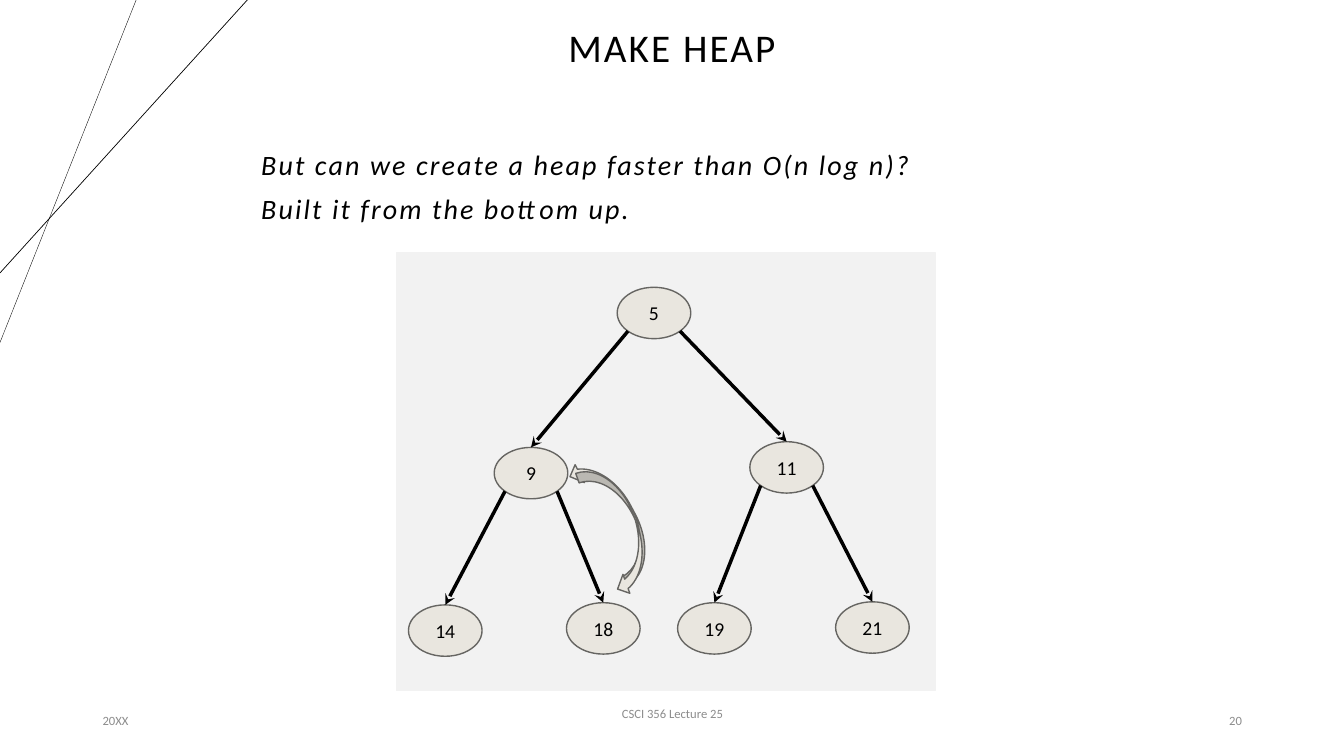
from collections import namedtuple
from math import sqrt

from pptx import Presentation
from pptx.dml.color import RGBColor
from pptx.enum.shapes import MSO_CONNECTOR, MSO_SHAPE
from pptx.enum.text import MSO_ANCHOR, PP_ALIGN
from pptx.oxml.ns import qn
from pptx.util import Inches, Pt
from lxml import etree

LEFT, CENTER, RIGHT = PP_ALIGN.LEFT, PP_ALIGN.CENTER, PP_ALIGN.RIGHT
MIDDLE, BOTTOM = MSO_ANCHOR.MIDDLE, MSO_ANCHOR.BOTTOM
STRAIGHT = MSO_CONNECTOR.STRAIGHT
RECTANGLE, OVAL = MSO_SHAPE.RECTANGLE, MSO_SHAPE.OVAL
CURVED_ARROW = MSO_SHAPE.CURVED_UP_ARROW

FONT = "Calibri"
BLACK, GRAY, PANEL, SAND, OUTLINE = "000000", "8C8C8C", "F2F2F2", "E9E6DF", "666562"

Box = namedtuple("Box", "left top width height")
SLIDE = Box(0, 0, Inches(13.33), Inches(7.5))
NODE_WIDTH, NODE_HEIGHT = Inches(0.73), Inches(0.51)

# Node key: centre across and down the panel in percent
NODES = {
    "5": (47.8, 13.7),
    "9": (25, 50.3), "11": (72.4, 49),
    "14": (9.1, 86.3), "18": (38.4, 85.8), "19": (59, 85.8), "21": (88.3, 85.6),
}
CHILDREN = {"5": ("9", "11"), "9": ("14", "18"), "11": ("19", "21")}


def color(hex_text):
    return RGBColor.from_string(hex_text)


def point(box, across, down):
    """Position at the given percentages of a box."""
    return (int(box.left + box.width * across / 100),
            int(box.top + box.height * down / 100))


def part(box, across, down, width, height):
    """Box inside another one, in percent of its size."""
    return Box(*point(box, across, down),
               int(box.width * width / 100), int(box.height * height / 100))


def centered(box, across, down, width, height):
    x, y = point(box, across, down)
    return Box(int(x - width / 2), int(y - height / 2), width, height)


def write(shape, *lines, size=14, ink=BLACK, align=LEFT, anchor=MIDDLE,
          italic=False, tracking=0, line_spacing=1.0, gap=0):
    frame = shape.text_frame
    frame.word_wrap = True
    frame.vertical_anchor = anchor
    for index, line in enumerate(lines):
        para = frame.add_paragraph() if index else frame.paragraphs[0]
        para.alignment = align
        para.line_spacing = line_spacing
        para.space_before = Pt(gap if index else 0)
        span = para.add_run()
        span.text = line
        span.font.name = FONT
        span.font.size = Pt(size)
        span.font.italic = italic
        span.font.color.rgb = color(ink)
        if tracking:
            span._r.get_or_add_rPr().set("spc", str(int(tracking * 100)))


def add_text(page, box, *lines, **style):
    write(page.shapes.add_textbox(*box), *lines, **style)


def add_shape(page, kind, box, fill, outline):
    shape = page.shapes.add_shape(kind, *box)
    shape.shadow.inherit = False
    shape.fill.solid()
    shape.fill.fore_color.rgb = color(fill)
    shape.line.color.rgb = color(outline)
    shape.line.width = Pt(1)
    return shape


def add_line(page, start, end, width, arrow=False):
    line = page.shapes.add_connector(STRAIGHT, *start, *end)
    line.line.color.rgb = color(BLACK)
    line.line.width = Pt(width)
    if arrow:
        etree.SubElement(line.line._get_or_add_ln(), qn("a:tailEnd"), type="stealth")
    etree.SubElement(line._element.spPr, qn("a:effectLst"))
    return line


def add_corner_lines(page, box):
    for across, down, width in ((10.13, 45.3, 0.25), (18.4, 36.1, 0.5)):
        add_line(page, point(box, across, 0), point(box, 0, down), width)


def add_title(page, box):
    title = page.shapes.title
    title.left, title.top, title.width, title.height = box
    write(title, "MAKE HEAP", size=28, align=CENTER, tracking=1.5, line_spacing=0.9)


def add_footer(page, box):
    for text, across, down, width, align in (
            ("20XX", 6.9, 92.67, 22.5, LEFT),
            ("CSCI 356 Lecture 25", 33.15, 91.75, 33.75, CENTER),
            ("20", 70.65, 92.67, 22.5, RIGHT)):
        add_text(page, part(box, across, down, width, 5.33), text,
                 size=9, ink=GRAY, align=align)


def add_swap_arrows(page, box):
    for across, down, angle, flipped in ((40.4, 60.4, 242.3, False),
                                         (41, 63.1, 250.1, True)):
        place = centered(box, across, down, Inches(1.32), Inches(0.4))
        arrow = add_shape(page, CURVED_ARROW, place, SAND, OUTLINE)
        arrow.rotation = angle
        if flipped:
            arrow._element.spPr.find(qn("a:xfrm")).set("flipH", "1")


def add_heap(page, box):
    add_shape(page, RECTANGLE, box, PANEL, PANEL)
    nodes = {}
    for key, (across, down) in NODES.items():
        place = centered(box, across, down, NODE_WIDTH, NODE_HEIGHT)
        nodes[key] = add_shape(page, OVAL, place, SAND, OUTLINE)
        write(nodes[key], key, align=CENTER)
    reach = 50 / sqrt(2)  # diagonal points of an oval, from its centre
    for parent, children in CHILDREN.items():
        oval = nodes[parent]
        place = Box(oval.left, oval.top, oval.width, oval.height)
        for child, side in zip(children, (-1, 1)):
            start = point(place, 50 + side * reach, 50 + reach)
            edge = add_line(page, start, start, 2.5, arrow=True)
            edge.end_connect(nodes[child], 0)
    add_swap_arrows(page, box)


def main():
    deck = Presentation()
    deck.slide_width, deck.slide_height = SLIDE.width, SLIDE.height
    page = deck.slides.add_slide(deck.slide_layouts[5])
    add_corner_lines(page, SLIDE)
    add_title(page, part(SLIDE, 15.45, 0, 69.1, 13.2))
    add_text(page, part(SLIDE, 18.7, 11.6, 62.7, 18.93),
             "But can we create a heap faster than O(n log n)?",
             "Built it from the bottom up.",
             size=20, italic=True, tracking=1.5, anchor=BOTTOM,
             line_spacing=0.9, gap=10)
    add_heap(page, part(SLIDE, 29.48, 33.47, 40.13, 57.87))
    add_footer(page, SLIDE)
    deck.save("out.pptx")


if __name__ == "__main__":
    main()
